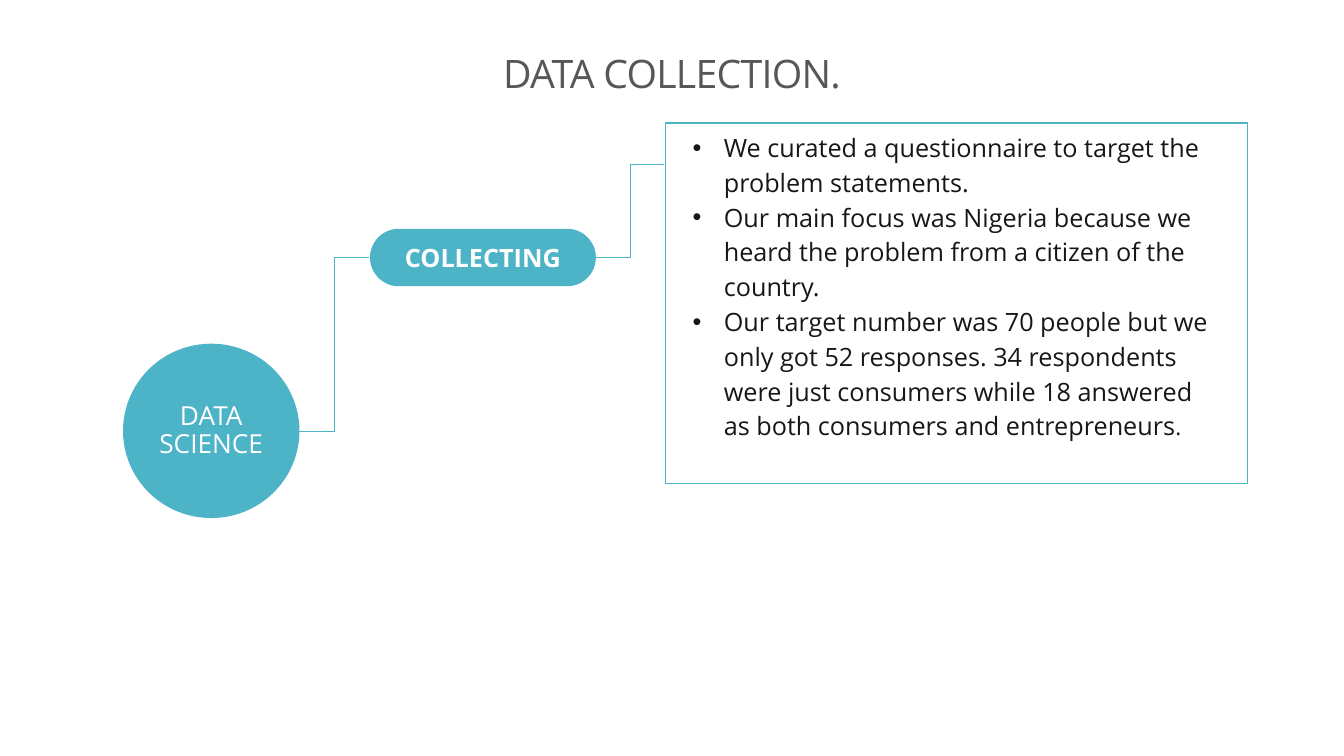
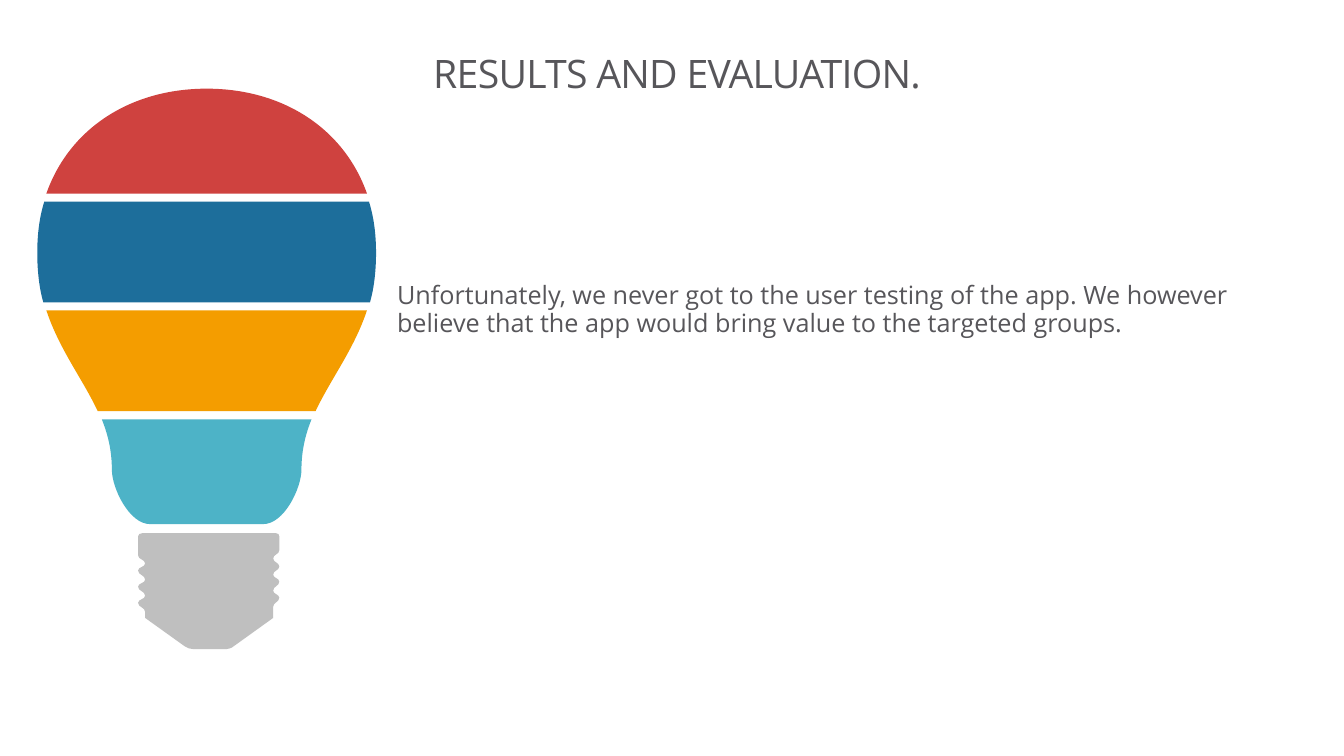
from lxml import etree
from pptx import Presentation
from pptx.dml.color import RGBColor
from pptx.enum.shapes import MSO_CONNECTOR, MSO_SHAPE
from pptx.enum.text import MSO_ANCHOR, PP_ALIGN
from pptx.oxml.ns import qn
from pptx.util import Inches, Pt

FONT = "Open Sans"
GREY, INK, WHITE = "57565A", "161718", "FFFFFF"
TEAL, RED, BLUE, ORANGE, SILVER = "4DB3C7", "CF423F", "1D6E9B", "F49D00", "BFBFBF"


def color(hex_value):
    return RGBColor.from_string(hex_value)


# Shared helpers
def paint(shape, fill=None, line=None):
    shape.shadow.inherit = False
    if fill:
        shape.fill.solid()
        shape.fill.fore_color.rgb = color(fill)
    else:
        shape.fill.background()
    if line:
        shape.line.color.rgb = color(line)
        shape.line.width = Pt(0.75)
    else:
        shape.line.fill.background()


def set_bullet(paragraph, indent):
    properties = paragraph._p.get_or_add_pPr()
    properties.set("marL", str(Inches(indent)))
    properties.set("indent", str(-Inches(indent)))
    etree.SubElement(properties, qn("a:buFont")).set("typeface", "Arial")
    etree.SubElement(properties, qn("a:buChar")).set("char", "•")


def style_run(run, size, ink, bold=False, tracking=None):
    run.font.name = FONT
    run.font.size = Pt(size)
    run.font.bold = bold
    run.font.color.rgb = color(ink)
    if tracking:
        run._r.get_or_add_rPr().set("spc", str(round(tracking * 100)))


def write(shape, text, size, ink, align=PP_ALIGN.LEFT, anchor=MSO_ANCHOR.TOP,
          insets=(0.1, 0.05, 0.1, 0.05), spacing=1.0, bullet=None, **run_style):
    frame = shape.text_frame
    frame.text = text
    frame.word_wrap = True
    frame.vertical_anchor = anchor
    (frame.margin_left, frame.margin_top,
     frame.margin_right, frame.margin_bottom) = map(Inches, insets)
    for paragraph in frame.paragraphs:
        paragraph.alignment = align
        paragraph.line_spacing = spacing
        if bullet:
            set_bullet(paragraph, bullet)
        for run in paragraph.runs:
            style_run(run, size, ink, **run_style)


def add_box(slide, preset, box, fill=None, line=None):
    shape = slide.shapes.add_shape(preset, *map(Inches, box))
    paint(shape, fill, line)
    return shape


def add_text(slide, box, text, size, ink, **style):
    shape = slide.shapes.add_textbox(*map(Inches, box))
    write(shape, text, size, ink, **style)


def add_elbow(slide, start, end):
    connector = slide.shapes.add_connector(MSO_CONNECTOR.ELBOW, *map(Inches, start + end))
    connector.line.color.rgb = color(TEAL)
    connector.line.width = Pt(0.25)
    etree.SubElement(connector._element.spPr, qn("a:effectLst"))


def add_slide(presentation, title, title_left=1):
    slide = presentation.slides.add_slide(presentation.slide_layouts[6])
    add_text(slide, (title_left, 0.31, 11.33, 0.89), title, 28, GREY, align=PP_ALIGN.CENTER,
             anchor=MSO_ANCHOR.MIDDLE, insets=(0, 0, 0, 0), spacing=0.86, tracking=-0.5)
    return slide


# Curved outlines
def add_outline(group, left, top, chains, fill):
    """Join chains by straight lines; a chain is a start, then three points per curve."""
    placed = [(Inches(left + x), Inches(top + y)) for chain in chains for x, y in chain]
    builder = group.shapes.build_freeform(*placed[0])
    builder.add_line_segments(placed[1:], close=True)
    shape = builder.convert_to_shape()
    paint(shape, fill)

    # Merge each three line steps inside a chain into one cubic curve
    steps = [None] + list(shape._element.iter(qn("a:lnTo")))
    offset = 0
    for chain in chains:
        for first in range(offset + 1, offset + len(chain), 3):
            cubic = etree.Element(qn("a:cubicBezTo"))
            steps[first].addprevious(cubic)
            for step in steps[first:first + 3]:
                cubic.append(step[0])
                step.getparent().remove(step)
        offset += len(chain)


def thread(outer, inner, heights):
    """Screw edge that swings between two x positions at the given heights."""
    points = [(outer, heights[0])]
    for index, y in enumerate(heights[1:]):
        x = outer if index % 2 else inner
        last_x, last_y = points[-1]
        middle = (last_y + y) / 2
        points += [(last_x, middle), (x, middle), (x, y)]
    return points


# Light bulb: each band is a left profile mirrored about the centre
BULB_CENTER = 1.68
BULB_BANDS = [
    (RED, [(1.68, 0), (0.93, 0), (0.32, 0.39), (0.09, 1.04)]),
    (BLUE, [(0.07, 1.12), (0.02, 1.28), (0, 1.45), (0, 1.63),
            (0, 1.81), (0.02, 1.98), (0.06, 2.12)]),
    (TEAL, [(0.64, 3.28), (0.7, 3.43), (0.74, 3.59), (0.74, 3.78),
            (0.74, 3.96), (0.91, 4.32), (1.12, 4.32)]),
    (ORANGE, [(0.09, 2.2), (0.22, 2.59), (0.45, 2.88), (0.6, 3.2)]),
]


def add_bulb(slide, left, top):
    group = slide.shapes.add_group_shape()
    # Screw base
    base = [
        [(0.04, 0), (0.02, 0), (0, 0.01), (0, 0.03)],
        thread(0, 0.07, [0.22, 0.3, 0.37, 0.46, 0.53, 0.62, 0.69, 0.78]),
        [(0.07, 0.84)],
        [(0.46, 1.12), (0.49, 1.14), (0.52, 1.15), (0.55, 1.15)],
        [(0.86, 1.15), (0.89, 1.15), (0.93, 1.14), (0.95, 1.12)],
        [(1.34, 0.84)],
        thread(1.4, 1.34, [0.17, 0.25, 0.33, 0.41, 0.48, 0.57, 0.64, 0.73])[::-1],
        [(1.4, 0.03), (1.4, 0.01), (1.39, 0), (1.37, 0)],
    ]
    add_outline(group, left + 1, top + 4.41, base, SILVER)
    # Glass bands
    for fill, profile in BULB_BANDS:
        mirrored = [(2 * BULB_CENTER - x, y) for x, y in reversed(profile)]
        add_outline(group, left, top, [profile, mirrored], fill)


# Slides
def add_collection_slide(presentation):
    slide = add_slide(presentation, "DATA COLLECTION.")
    centered = dict(align=PP_ALIGN.CENTER, anchor=MSO_ANCHOR.MIDDLE,
                    insets=(0.05, 0.05, 0.05, 0.05))
    topic = add_box(slide, MSO_SHAPE.OVAL, (1.22, 3.41, 1.75, 1.73), TEAL)
    write(topic, "DATA SCIENCE", 18.7, WHITE, spacing=0.9, **centered)
    step = add_box(slide, MSO_SHAPE.ROUNDED_RECTANGLE, (3.67, 2.27, 2.24, 0.57), TEAL)
    step.adjustments[0] = 0.5
    write(step, "COLLECTING", 18, WHITE, bold=True, **centered)

    # Findings, closed by a smaller full stop
    details = add_box(slide, MSO_SHAPE.RECTANGLE, (6.6, 1.22, 5.77, 3.58), line=TEAL)
    write(details, "\n".join([
        "We curated a questionnaire to target the problem statements.",
        "Our main focus was Nigeria because we heard the problem from a citizen of the country.",
        "Our target number was 70 people but we only got 52 responses. 34 respondents were just "
        "consumers while 18 answered as both consumers and entrepreneurs",
    ]), 18, INK, insets=(0.27, 0.05, 0.27, 0.11), spacing=1.15, bullet=0.31)
    full_stop = details.text_frame.paragraphs[-1].add_run()
    full_stop.text = "."
    style_run(full_stop, 16, INK)

    add_elbow(slide, (5.91, 2.55), (6.59, 1.63))
    add_elbow(slide, (2.97, 4.28), (3.66, 2.55))


def add_results_slide(presentation):
    slide = add_slide(presentation, "RESULTS AND EVALUATION.", title_left=1.05)
    add_bulb(slide, 0.37, 0.88)
    add_text(slide, (3.84, 2.76, 8.5, 0.65),
             "Unfortunately, we never got to the user testing of the app. We however believe "
             "that the app would bring value to the targeted groups.", 18, GREY, spacing=0.9)


def main():
    presentation = Presentation()
    presentation.slide_width = Inches(13.33)
    presentation.slide_height = Inches(7.5)
    add_collection_slide(presentation)
    add_results_slide(presentation)
    presentation.save("out.pptx")


if __name__ == "__main__":
    main()
